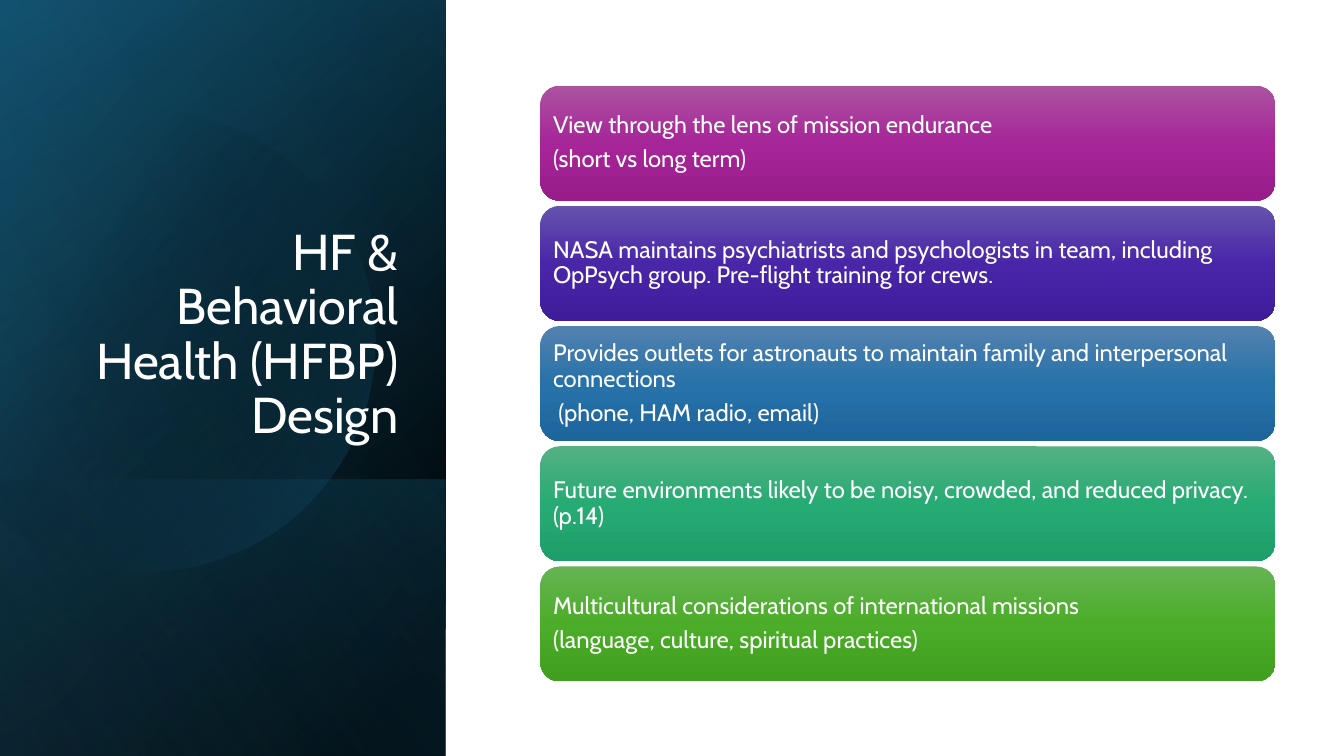
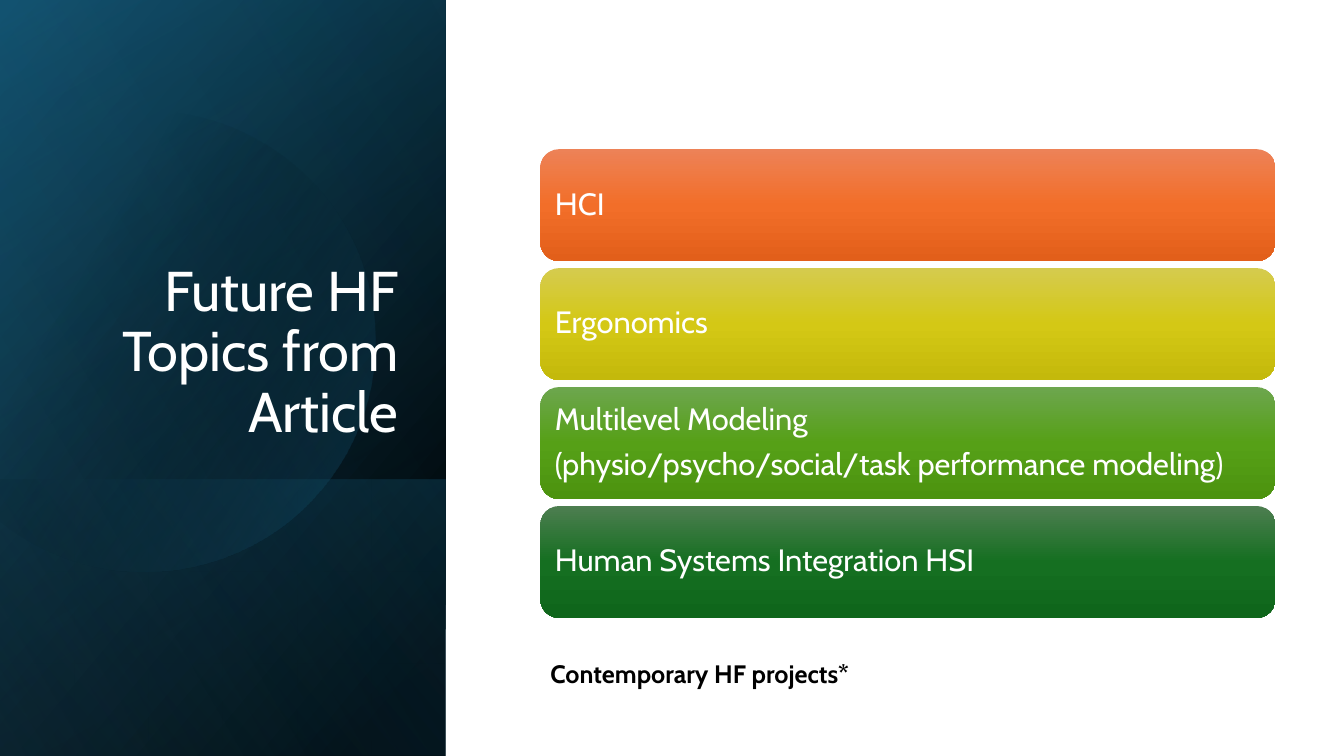
from dataclasses import dataclass
from typing import NamedTuple

from lxml.etree import SubElement
from pptx import Presentation
from pptx.dml.color import RGBColor
from pptx.enum.shapes import MSO_SHAPE as Preset
from pptx.enum.text import MSO_ANCHOR as Anchor, MSO_AUTO_SIZE as AutoSize, PP_ALIGN as Align
from pptx.oxml.ns import qn
from pptx.util import Pt

PX = 9144  # EMU in one px, 100 px to the inch


class Box(NamedTuple):
    left: float
    top: float
    width: float
    height: float

    def emu(self):
        return [round(length * PX) for length in self]


@dataclass(frozen=True)
class Theme:
    font: str = "Cabin"
    light: str = "FFFFFF"
    dark: str = "000000"
    navy: str = "104862"
    blue: str = "156082"
    sky: str = "46B1E1"
    note_size: int = 18
    line_spacing: float = 0.9
    space_after: float = 0.35


THEME = Theme()
SLIDE = Box(0, 0, 1333, 750)
PANEL = Box(0, 0, 442, 750)

# Each layer: top edge in the panel, angle, stops of (position, colour, opacity)
BACK_LAYERS = [
    (0, 50, [(8, THEME.dark, 100), (100, THEME.navy, 100)]),
    (0, 30, [(0, THEME.dark, 0), (99, THEME.blue, 46)]),
    (476, 130, [(2, THEME.blue, 29), (100, THEME.dark, 30)]),
]
FRONT_LAYER = (0, 120, [(0, THEME.dark, 0), (99, THEME.sky, 11)])
DISC_GLOW = [(29, THEME.dark, 0), (100, THEME.blue, 43)]
DISC_START = (149, 110)
# Each curve: two control points and an end point
DISC_CURVES = [
    ((246, 112), (335, 177), (363, 275)),
    ((398, 397), (328, 523), (207, 558)),
    ((131, 580), (53, 561), (-3, 514)),
]
DISC_EDGE = [(-15, 503), (-15, 175), (0, 161)]
DISC_CLOSE = ((23, 142), (50, 128), (80, 119)), ((103, 113), (126, 110), DISC_START)


def fill_gradient(shape, stops, angle):
    """Give the shape a linear gradient, with no line and no shadow."""
    shape.shadow.inherit = False
    shape.line.fill.background()
    shape.fill.gradient()
    gradient = shape._element.spPr.find(qn("a:gradFill"))
    for child in list(gradient):
        gradient.remove(child)
    gradient.set("rotWithShape", "1")
    stop_list = SubElement(gradient, qn("a:gsLst"))
    for position, colour, opacity in stops:
        stop = SubElement(stop_list, qn("a:gs"), pos=str(position * 1000))
        tint = SubElement(stop, qn("a:srgbClr"), val=colour)
        if opacity < 100:
            SubElement(tint, qn("a:alpha"), val=str(opacity * 1000))
    SubElement(gradient, qn("a:lin"), ang=str(angle * 60000), scaled="0")


def format_text(frame, size, colour, bold=None):
    for para in frame.paragraphs:
        for span in para.runs:
            span.font.name = THEME.font
            span.font.size = Pt(size)
            span.font.bold = bold
            span.font.color.rgb = RGBColor.from_string(colour)


def add_layer(page, box, layer):
    """Add a mirrored rectangle on its side, from the layer's top to the box's foot."""
    top, angle, stops = layer
    length, breadth = box.height - top, box.width
    sideways = Box(box.left + (breadth - length) / 2,
                   box.top + top + (length - breadth) / 2, length, breadth)
    shape = page.shapes.add_shape(Preset.RECTANGLE, *sideways.emu())
    shape.rotation = 90
    shape._element.spPr.xfrm.set("flipH", "1")
    fill_gradient(shape, stops, angle)


def curve_points(start, curve, steps=24):
    points = (start, *curve)
    for step in range(1, steps + 1):
        t = step / steps
        weights = ((1 - t) ** 3, 3 * t * (1 - t) ** 2, 3 * t * t * (1 - t), t ** 3)
        yield tuple(sum(w * point[axis] for w, point in zip(weights, points))
                    for axis in (0, 1))


def add_disc(page, box):
    outline = [DISC_START]
    for curve in DISC_CURVES:
        outline.extend(curve_points(outline[-1], curve))
    outline.extend(DISC_EDGE)
    for curve in DISC_CLOSE:
        outline.extend(curve_points(outline[-1], curve))
    placed = [(round((box.left + x) * PX), round((box.top + y) * PX)) for x, y in outline]
    builder = page.shapes.build_freeform(*placed[0])
    builder.add_line_segments(placed[1:], close=True)
    fill_gradient(builder.convert_to_shape(), DISC_GLOW, 30)


def add_title_panel(page, box, text, size):
    for layer in BACK_LAYERS:
        add_layer(page, box, layer)
    add_disc(page, box)
    add_layer(page, box, FRONT_LAYER)

    title = page.shapes.title
    page.shapes._spTree.append(title._element)  # bring in front of the panel
    place = Box(box.left + 64, box.top + 184, box.width - 101, 262)
    title.left, title.top, title.width, title.height = place.emu()
    frame = title.text_frame
    frame.text = text
    frame.word_wrap = True
    frame.auto_size = AutoSize.NONE
    frame.vertical_anchor = Anchor.BOTTOM
    frame.paragraphs[0].alignment = Align.RIGHT
    frame.paragraphs[0].line_spacing = THEME.line_spacing
    format_text(frame, size, THEME.light)


def add_card(page, box, text, colours, size, inset):
    card = page.shapes.add_shape(Preset.ROUNDED_RECTANGLE, *box.emu())
    fill_gradient(card, [(at, colour, 100) for at, colour in zip((0, 50, 100), colours)], 90)
    frame = card.text_frame
    frame.text = text
    frame.word_wrap = True
    frame.vertical_anchor = Anchor.MIDDLE
    frame.margin_left = frame.margin_right = inset * PX
    frame.margin_top = frame.margin_bottom = inset * PX
    for para in frame.paragraphs:
        para.alignment = Align.LEFT
        para.line_spacing = THEME.line_spacing
        para.space_after = Pt(round(size * THEME.space_after))
    format_text(frame, size, THEME.light)


def add_card_stack(page, box, cards, card_height, size, inset):
    """Spread cards of one height evenly over the box."""
    pitch = (box.height - card_height) / (len(cards) - 1)
    for index, (text, colours) in enumerate(cards):
        place = Box(box.left, box.top + index * pitch, box.width, card_height)
        add_card(page, place, text, colours, size, inset)


def add_note(page, box, text):
    note = page.shapes.add_textbox(*box.emu())
    frame = note.text_frame
    frame.text = text
    frame.word_wrap = True
    frame.auto_size = AutoSize.SHAPE_TO_FIT_TEXT
    format_text(frame, THEME.note_size, THEME.dark, bold=True)


def add_page(deck, title, title_size):
    page = deck.slides.add_slide(deck.slide_layouts[5])
    add_title_panel(page, PANEL, title, title_size)
    return page


HEALTH_CARDS = [
    ("View through the lens of mission endurance\n(short vs long term)",
     ("AC53A0", "A62598", "991C8B")),
    ("NASA maintains psychiatrists and psychologists in team, including OpPsych group. "
     "Pre-flight training for crews.",
     ("6553AE", "4926A8", "3E1C9A")),
    ("Provides outlets for astronauts to maintain family and interpersonal connections\n"
     " (phone, HAM radio, email)",
     ("5382AF", "2772A9", "1D669C")),
    ("Future environments likely to be noisy, crowded, and reduced privacy. (p.14)",
     ("54B183", "27AB74", "1E9E68")),
    ("Multicultural considerations of international missions\n"
     "(language, culture, spiritual practices)",
     ("66B354", "4BAD28", "409F1E")),
]
TOPIC_CARDS = [
    ("HCI", ("ED8257", "F26E29", "E25F1A")),
    ("Ergonomics", ("D5CB4E", "D4C815", "C4B90B")),
    ("Multilevel Modeling\n(physio/psycho/social/task performance modeling)",
     ("6DA64E", "56A017", "4C930F")),
    ("Human Systems Integration HSI", ("4D7E50", "156F21", "0F661B")),
]


def main():
    deck = Presentation()
    _, _, deck.slide_width, deck.slide_height = SLIDE.emu()

    health = add_page(deck, "HF & Behavioral Health (HFBP) Design", 36)
    add_card_stack(health, Box(536, 85, 729, 591), HEALTH_CARDS, 114, 17, 7)

    topics = add_page(deck, "Future HF Topics from Article", 40)
    add_card_stack(topics, Box(536, 148, 729, 465), TOPIC_CARDS, 111, 22, 9)
    add_note(topics, Box(536, 648, 604, 40), "Contemporary HF projects*")

    deck.save("out.pptx")


if __name__ == "__main__":
    main()
